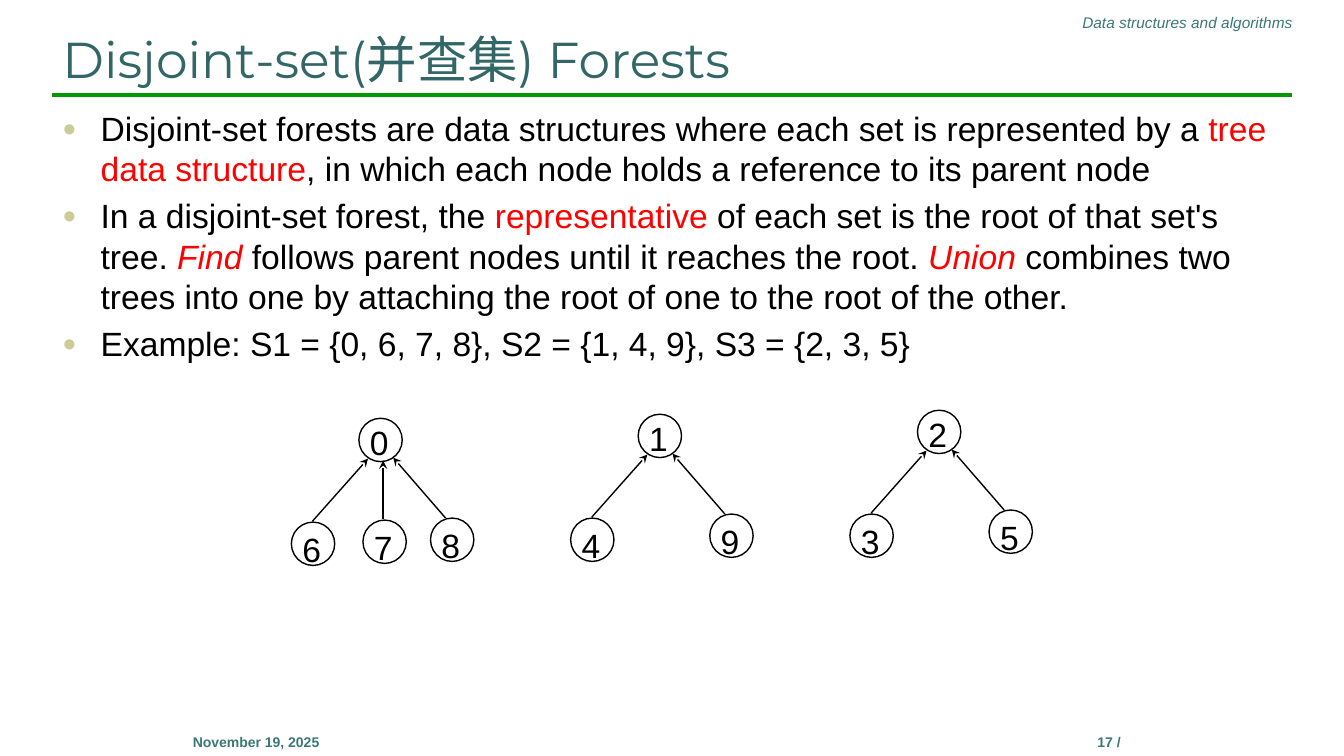
from dataclasses import dataclass

from lxml import etree
from pptx import Presentation
from pptx.dml.color import RGBColor
from pptx.enum.shapes import MSO_CONNECTOR, MSO_SHAPE
from pptx.enum.text import MSO_ANCHOR, MSO_AUTO_SIZE, PP_ALIGN
from pptx.oxml.ns import qn
from pptx.util import Inches, Pt

COLORS = {
    "title": "336666",
    "footer": "3A7877",
    "rule": "009900",
    "bullet": "CCCC99",
    "text": "000000",
    "accent": "FF0000",
}
NODE_SIZE = 0.43
TREE_STEP_X, TREE_STEP_Y = 2.77, -0.04


@dataclass(frozen=True)
class Run:
    text: str
    color: str = "text"
    italic: bool = False


@dataclass(frozen=True)
class Branch:
    """Leaf position and arrow ends, measured from the root's top-left corner."""
    leaf: tuple[float, float]
    head: tuple[float, float]
    tail: tuple[float, float]


@dataclass(frozen=True)
class Tree:
    root: str
    leaves: dict[str, str]


BRANCHES = {
    "left": Branch((-0.67, 1.03), (0.09, 0.4), (-0.46, 1.02)),
    "middle": Branch((0.04, 1.01), (0.24, 0.42), (0.24, 1.0)),
    "right": Branch((0.71, 0.99), (0.34, 0.39), (0.86, 0.99)),
}
TREES = [
    Tree("0", {"left": "6", "middle": "7", "right": "8"}),
    Tree("1", {"left": "4", "right": "9"}),
    Tree("2", {"left": "3", "right": "5"}),
]
BULLETS = [
    [
        Run("Disjoint-set forests are data structures where each set is represented by a "),
        Run("tree data structure", "accent"),
        Run(", in which each node holds a reference to its parent node"),
    ],
    [
        Run("In a disjoint-set forest, the "),
        Run("representative", "accent"),
        Run(" of each set is the root of that set's tree. "),
        Run("Find", "accent", True),
        Run(" follows parent nodes until it reaches the root. "),
        Run("Union", "accent", True),
        Run(" combines two trees into one by attaching the root of one to the root of the other."),
    ],
    [Run("Example: S1 = {0, 6, 7, 8}, S2 = {1, 4, 9}, S3 = {2, 3, 5}")],
]


def add_text(slide, box: tuple[float, float, float, float], paragraphs: list[list[Run]], *,
             size: float, font: str = "Arial", bold: bool = False,
             align=PP_ALIGN.LEFT, anchor=MSO_ANCHOR.TOP,
             wrap: bool = True, grow: bool = False, bullets: bool = False) -> None:
    shape = slide.shapes.add_textbox(*map(Inches, box))
    frame = shape.text_frame
    frame.word_wrap = wrap
    frame.vertical_anchor = anchor
    frame.auto_size = MSO_AUTO_SIZE.SHAPE_TO_FIT_TEXT if grow else MSO_AUTO_SIZE.NONE
    for index, runs in enumerate(paragraphs):
        paragraph = frame.add_paragraph() if index else frame.paragraphs[0]
        paragraph.alignment = align
        if bullets:
            paragraph.space_before = Pt(4.8)
            add_bullet(paragraph)
        for item in runs:
            run = paragraph.add_run()
            run.text = item.text
            run.font.name = font
            run.font.size = Pt(size)
            run.font.bold = bold
            run.font.italic = item.italic
            run.font.color.rgb = RGBColor.from_string(COLORS[item.color])


def add_bullet(paragraph) -> None:
    properties = paragraph._p.get_or_add_pPr()
    properties.set("marL", str(Inches(0.38)))
    properties.set("indent", str(Inches(-0.38)))
    color = etree.SubElement(properties, qn("a:buClr"))
    etree.SubElement(color, qn("a:srgbClr"), val=COLORS["bullet"])
    etree.SubElement(properties, qn("a:buSzPct"), val="70000")
    etree.SubElement(properties, qn("a:buFont"), typeface="Arial")
    etree.SubElement(properties, qn("a:buChar"), char="●")


def add_line(slide, start: tuple[float, float], end: tuple[float, float], *,
             color: str = "text", width: float = 1, arrow: bool = False) -> None:
    line = slide.shapes.add_connector(MSO_CONNECTOR.STRAIGHT, *map(Inches, start + end))
    line.line.color.rgb = RGBColor.from_string(COLORS[color])
    line.line.width = Pt(width)
    if arrow:
        etree.SubElement(line.line._get_or_add_ln(), qn("a:headEnd"), type="stealth")
    etree.SubElement(line._element.spPr, qn("a:effectLst"))


def add_node(slide, left: float, top: float, label: str, label_drop: float) -> None:
    circle = slide.shapes.add_shape(
        MSO_SHAPE.OVAL, *map(Inches, (left, top, NODE_SIZE, NODE_SIZE)))
    circle.shadow.inherit = False
    circle.fill.background()
    circle.line.color.rgb = RGBColor.from_string(COLORS["text"])
    circle.line.width = Pt(1)
    add_text(slide, (left + 0.01, top + label_drop, 0.39, 0.51), [[Run(label)]],
             size=24, wrap=False, grow=True)


def add_tree(slide, left: float, top: float, tree: Tree) -> None:
    add_node(slide, left, top, tree.root, -0.01)
    for side, label in tree.leaves.items():
        branch = BRANCHES[side]
        add_node(slide, left + branch.leaf[0], top + branch.leaf[1], label, 0.02)
        add_line(slide, (left + branch.head[0], top + branch.head[1]),
                 (left + branch.tail[0], top + branch.tail[1]), arrow=True)


def main() -> None:
    presentation = Presentation()
    presentation.slide_width = Inches(13.33)
    presentation.slide_height = Inches(7.5)
    slide = presentation.slides.add_slide(presentation.slide_layouts[6])

    # Header and footer
    add_line(slide, (0.52, 0.94), (12.81, 0.94), color="rule", width=3)
    add_text(slide, (5.63, 0.08, 7.29, 0.29),
             [[Run("Data structures and algorithms", "footer", True)]],
             size=11, align=PP_ALIGN.RIGHT, grow=True)
    for left, text in ((9.5, "17 /"), (1.04, "November 19, 2025")):
        add_text(slide, (left, 7.23, 3, 0.5), [[Run(text, "footer")]],
                 size=10, bold=True, align=PP_ALIGN.CENTER)

    # Title and body
    add_text(slide, (0.52, 0.23, 12.29, 0.7),
             [[Run("Disjoint-set(并查集) Forests", "title")]],
             size=36, font="Montserrat", anchor=MSO_ANCHOR.BOTTOM)
    add_text(slide, (0.52, 1.02, 12.29, 6.09), BULLETS, size=24, bullets=True)

    # Example trees
    for index, tree in enumerate(TREES):
        add_tree(slide, 3.56 + index * TREE_STEP_X, 4.15 + index * TREE_STEP_Y, tree)

    presentation.save("out.pptx")


if __name__ == "__main__":
    main()
